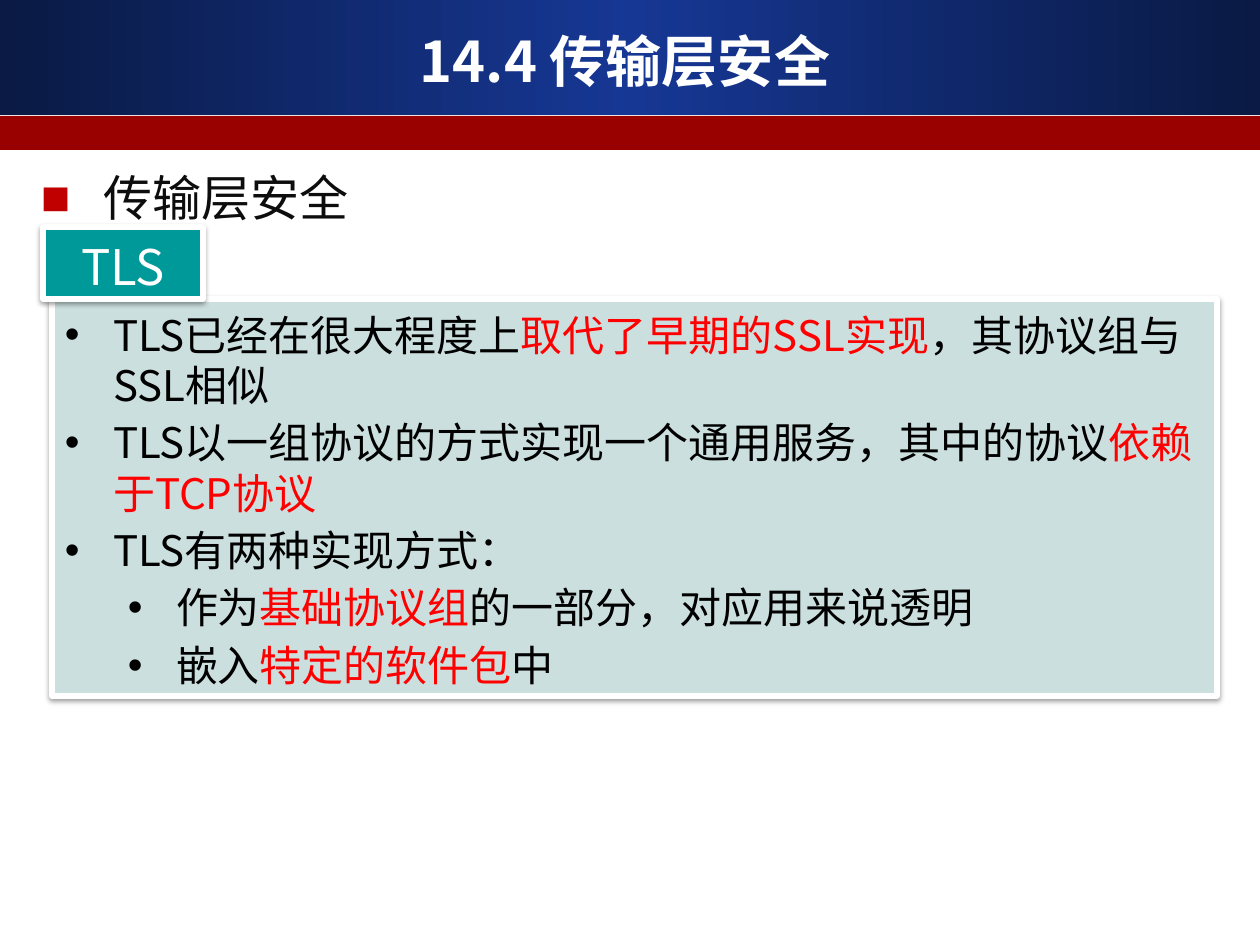
from lxml import etree
from pptx import Presentation
from pptx import util as u
from pptx.dml.color import RGBColor
from pptx.enum import shapes, text
from pptx.oxml import ns

EMU_PER_PX = 914400 / 126
FONT = "Noto Sans CJK SC"
WHITE, BLACK, RED = "FFFFFF", "000000", "FF0000"


def px(length):
    return u.Emu(round(length * EMU_PER_PX))


def rgb(value):
    return RGBColor.from_string(value)


def add_xml(parent, tag, **attributes):
    return etree.SubElement(parent, ns.qn(tag), attributes)


def add_panel(slide, box, fill, border=None, border_pt=0, shadow=False):
    panel = slide.shapes.add_shape(shapes.MSO_SHAPE.RECTANGLE, *map(px, box))
    panel.shadow.inherit = False
    panel.fill.solid()
    panel.fill.fore_color.rgb = rgb(fill)
    if border:
        panel.line.color.rgb = rgb(border)
        panel.line.width = u.Pt(border_pt)
    else:
        panel.line.fill.background()
    if shadow:
        effects = panel._element.spPr.find(ns.qn("a:effectLst"))
        outer = add_xml(effects, "a:outerShdw", blurRad=str(u.Pt(3.1)),
                        dist=str(u.Pt(1.6)), dir="5400000", rotWithShape="0")
        color = add_xml(outer, "a:srgbClr", val=BLACK)
        add_xml(color, "a:alpha", val="38000")
    return panel


def set_frame(shape, anchor=text.MSO_ANCHOR.TOP, top=10, bottom=2):
    settings = {"word_wrap": True, "vertical_anchor": anchor,
                "margin_left": px(13), "margin_right": px(13),
                "margin_top": px(top), "margin_bottom": px(bottom)}
    for name, value in settings.items():
        setattr(shape.text_frame, name, value)
    return shape.text_frame


def write_runs(paragraph, runs, size, bold=False):
    for wording, color in runs:
        run = paragraph.add_run()
        run.text = wording
        for name, value in {"size": u.Pt(size), "name": FONT, "bold": bold}.items():
            setattr(run.font, name, value)
        run.font.color.rgb = rgb(color)
        add_xml(run._r.get_or_add_rPr(), "a:ea", typeface=FONT)


def format_paragraph(paragraph, size, align=text.PP_ALIGN.LEFT, after=0):
    settings = {"alignment": align, "line_spacing": u.Pt(size * 1.2),
                "space_after": u.Pt(after)}
    for name, value in settings.items():
        setattr(paragraph, name, value)


def add_bullet(paragraph, mark, indent, hanging, color=None):
    properties = paragraph._p.get_or_add_pPr()
    properties.set("marL", str(px(indent)))
    properties.set("indent", str(-px(hanging)))
    if color:
        add_xml(add_xml(properties, "a:buClr"), "a:srgbClr", val=color)
    add_xml(properties, "a:buFont", typeface="Arial")
    add_xml(properties, "a:buChar", char=mark)


def add_header(slide, box, title):
    left, top, width, height = box
    # Blue band, dark at both ends
    band = add_panel(slide, (left, top, width, 115), "163794")
    band.fill.gradient()
    band.fill.gradient_angle = 0
    stops = band._element.spPr.find(ns.qn("a:gradFill")).find(ns.qn("a:gsLst"))
    for stop in list(stops):
        stops.remove(stop)
    for position, color in ((0, "0A1A44"), (50, "163794"), (100, "0A1A44")):
        stop = add_xml(stops, "a:gs", pos=str(position * 1000))
        add_xml(stop, "a:srgbClr", val=color)
    # Red band
    add_panel(slide, (left, top + 116, width, height - 116), "990000")
    # Title
    label = slide.shapes.add_textbox(*map(px, (left + 42, top + 21, 1166, 78)))
    frame = set_frame(label, text.MSO_ANCHOR.MIDDLE, 6, 6)
    frame.paragraphs[0].alignment = text.PP_ALIGN.CENTER
    write_runs(frame.paragraphs[0], [(title, WHITE)], 32, bold=True)


def add_heading(slide, box, wording):
    heading = set_frame(add_panel(slide, box, WHITE, WHITE, 2)).paragraphs[0]
    format_paragraph(heading, 28)
    add_bullet(heading, "■", 63, 63, "C00000")
    write_runs(heading, [(wording, "0D0D0D")], 28)


def add_topic(slide, box, tag, points):
    left, top, width, height = box
    # Panel of points
    panel = add_panel(slide, (left + 9, top + 72, width - 9, height - 72),
                      "CCDFDF", WHITE, 3, shadow=True)
    frame = set_frame(panel)
    for index, (level, runs) in enumerate(points):
        point = frame.add_paragraph() if index else frame.paragraphs[0]
        format_paragraph(point, 24, after=4)
        point.level = level
        add_bullet(point, "•", 48 + 63 * level, 48)
        write_runs(point, runs, 24)
    # Tag on the panel's top edge
    label = add_panel(slide, (left, top, 160, 72), "009999", WHITE, 3, shadow=True)
    name = set_frame(label).paragraphs[0]
    format_paragraph(name, 28, text.PP_ALIGN.CENTER)
    write_runs(name, [(tag, WHITE)], 28)


POINTS = [
    (0, [("TLS已经在很大程度上", BLACK), ("取代了早期的SSL实现", RED),
         ("，其协议组与SSL相似", BLACK)]),
    (0, [("TLS以一组协议的方式实现一个通用服务，其中的协议", BLACK),
         ("依赖于TCP协议", RED)]),
    (0, [("TLS有两种实现方式：", BLACK)]),
    (1, [("作为", BLACK), ("基础协议组", RED), ("的一部分，对应用来说透明", BLACK)]),
    (1, [("嵌入", BLACK), ("特定的软件包", RED), ("中", BLACK)]),
]


def main():
    deck = Presentation()
    deck.slide_width, deck.slide_height = px(1260), px(945)
    slide = deck.slides.add_slide(deck.slide_layouts[6])
    add_header(slide, (0, 0, 1260, 150), "14.4 传输层安全")
    add_heading(slide, (28, 158, 1137, 72), "传输层安全")
    add_topic(slide, (43, 227, 1174, 469), "TLS", POINTS)
    deck.save("out.pptx")


if __name__ == "__main__":
    main()
